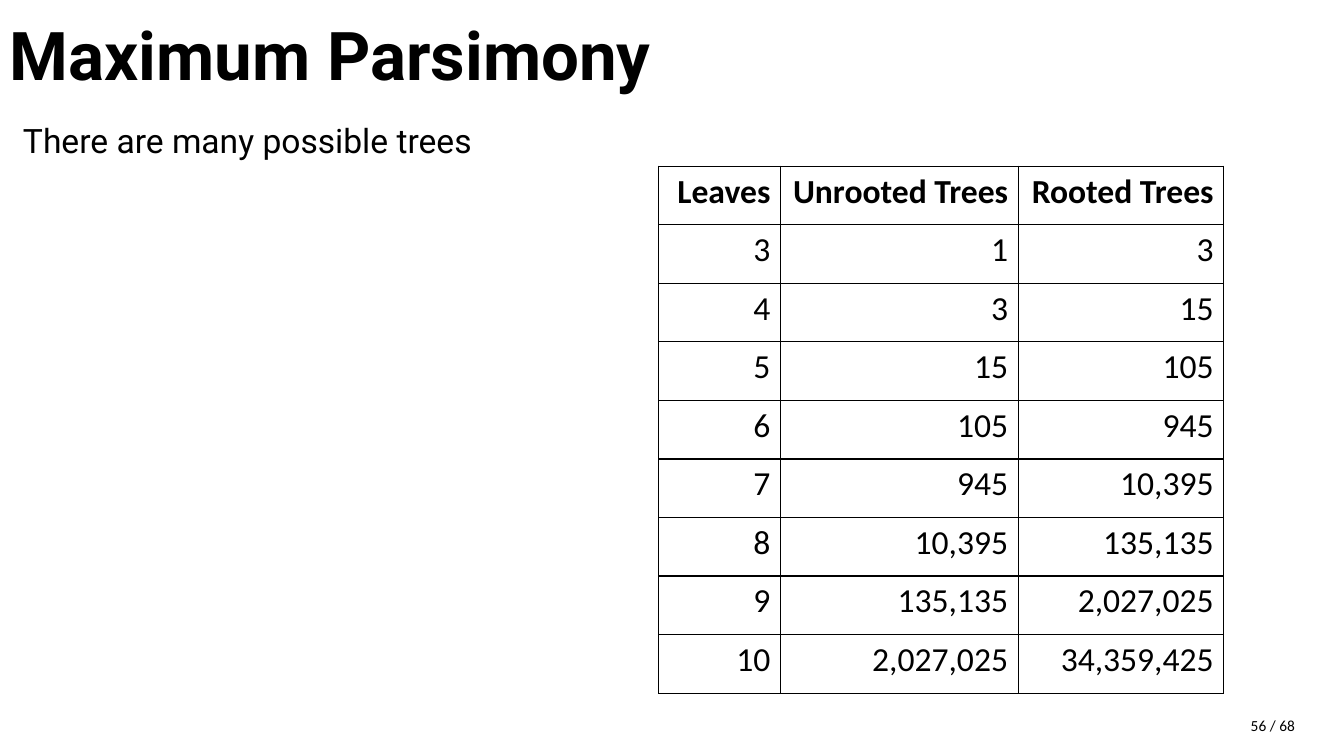
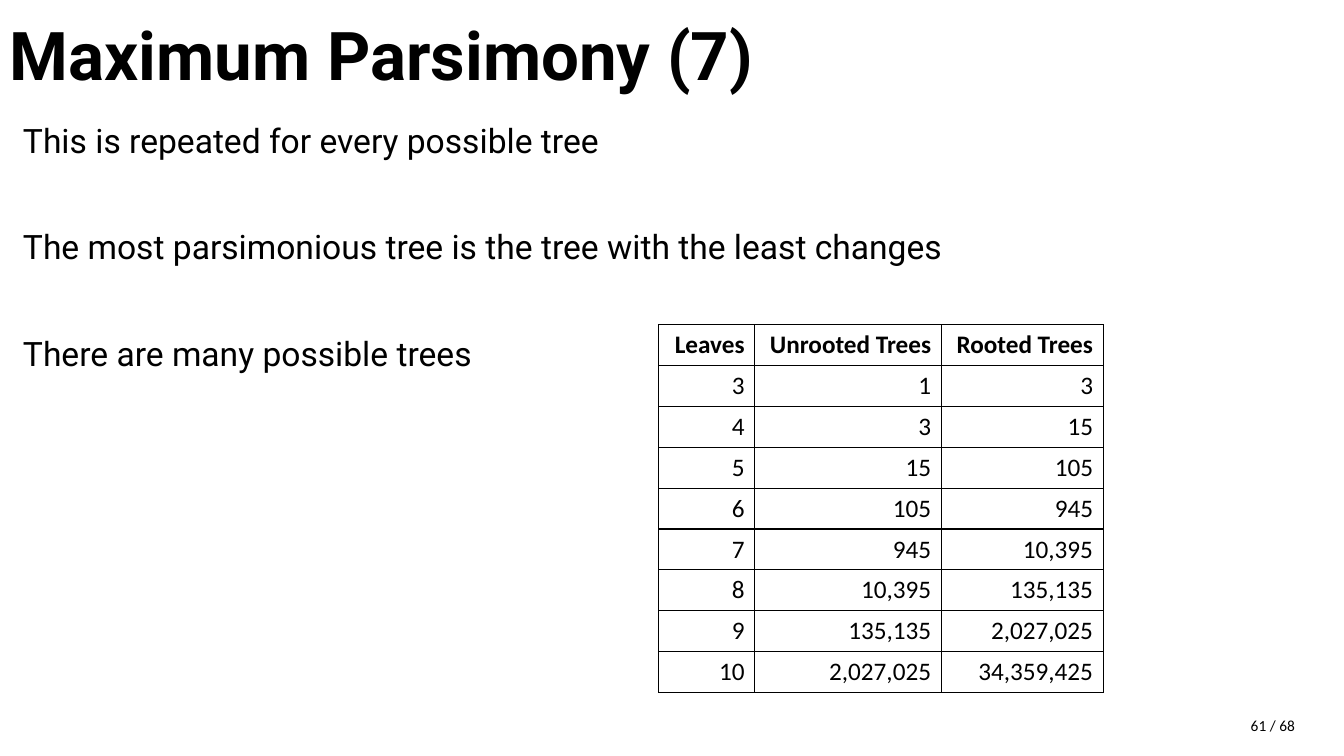
from pptx import Presentation
from pptx.dml.color import RGBColor
from pptx.enum.text import MSO_ANCHOR as Anchor, PP_ALIGN as Align
from pptx.oxml import parse_xml
from pptx.oxml.ns import nsdecls
from pptx.util import Cm, Pt

BLACK = RGBColor(0x00, 0x00, 0x00)
HEADING_FONT = "Roboto"
TABLE_FONT = "Calibri"
BORDER_WIDTH = Pt(0.96)
SLIDE_COUNT = 68

TITLE_BOX = (0, 0, 29.21, 2.72)
BODY_BOX = (0.33, 3, 26.11, 10.06)
NUMBER_BOX = (31.27, 17.91, 2.39, 1.17)

HEADERS = ("Leaves", "Unrooted Trees", "Rooted Trees")
FIRST_LEAVES = 3
TREE_COUNTS = (1, 3, 15, 105, 945, 10395, 135135, 2027025, 34359425)
TREE_ROWS = [
    (f"{leaves}", f"{unrooted:,}", f"{rooted:,}")
    for leaves, (unrooted, rooted) in enumerate(
        zip(TREE_COUNTS, TREE_COUNTS[1:]), FIRST_LEAVES)
]


def add_run(paragraph, text, font_name, size, bold=False):
    """Add one black run to a paragraph."""
    run = paragraph.add_run()
    run.text = text
    run.font.name = font_name
    run.font.size = Pt(size)
    run.font.bold = bold
    run.font.color.rgb = BLACK


def add_text_frame(slide, box, anchor=Anchor.TOP):
    """Add a wrapping text box, given in centimetres, and return its frame."""
    frame = slide.shapes.add_textbox(*map(Cm, box)).text_frame
    frame.word_wrap = True
    frame.vertical_anchor = anchor
    return frame


def add_title(slide, box, text):
    """Add the large bold slide title."""
    frame = add_text_frame(slide, box, Anchor.MIDDLE)
    add_run(frame.paragraphs[0], text, HEADING_FONT, 48, bold=True)


def add_body(slide, box, statements):
    """Add widely spaced statements below the title."""
    frame = add_text_frame(slide, box)
    for index, statement in enumerate(statements):
        paragraph = frame.add_paragraph() if index else frame.paragraphs[0]
        paragraph.line_spacing = 0.9
        paragraph.space_before = Pt(50.4 if index else 0)
        add_run(paragraph, statement, HEADING_FONT, 24)


def add_slide_number(slide, box, number):
    """Add the slide number and the slide count."""
    frame = add_text_frame(slide, box)
    add_run(frame.paragraphs[0], f"{number} / {SLIDE_COUNT}", TABLE_FONT, 11)


def style_cell(cell):
    """Give a cell thin black borders and no fill."""
    properties = cell._tc.get_or_add_tcPr()
    for side in ("lnL", "lnR", "lnT", "lnB"):
        properties.append(parse_xml(
            f'<a:{side} {nsdecls("a")} w="{BORDER_WIDTH}"><a:solidFill>'
            f'<a:srgbClr val="{BLACK}"/></a:solidFill></a:{side}>'))
    cell.fill.background()


def add_tree_table(slide, left, top, column_widths, height, size):
    """Add the table of tree counts, with lengths in centimetres."""
    rows = [HEADERS, *TREE_ROWS]
    table = slide.shapes.add_table(
        len(rows), len(HEADERS), Cm(left), Cm(top),
        Cm(sum(column_widths)), Cm(height)).table
    table.first_row = False
    table.horz_banding = False
    for column, width in zip(table.columns, column_widths):
        column.width = Cm(width)
    for row_index, values in enumerate(rows):
        for column_index, value in enumerate(values):
            cell = table.cell(row_index, column_index)
            style_cell(cell)
            paragraph = cell.text_frame.paragraphs[0]
            paragraph.alignment = Align.RIGHT
            add_run(paragraph, value, TABLE_FONT, size, bold=row_index == 0)


def add_tree_slide(presentation, number, title, statements, table_layout):
    """Add a slide with a title, statements and the table of tree counts."""
    slide = presentation.slides.add_slide(presentation.slide_layouts[6])
    add_slide_number(slide, NUMBER_BOX, number)
    add_body(slide, BODY_BOX, statements)
    add_title(slide, TITLE_BOX, title)
    add_tree_table(slide, *table_layout)


def main():
    """Build and save the presentation."""
    presentation = Presentation()
    presentation.slide_width = Cm(33.87)
    presentation.slide_height = Cm(19.05)
    many_trees = "There are many possible trees"
    add_tree_slide(
        presentation, 56, "Maximum Parsimony", [many_trees],
        (16.6, 4.19, (3.07, 5.99, 5.18), 13.28, 24))
    add_tree_slide(
        presentation, 61, "Maximum Parsimony (7)",
        ["This is repeated for every possible tree",
         "The most parsimonious tree is the tree with the least changes",
         many_trees],
        (16.6, 8.18, (2.42, 4.7, 4.08), 9.27, 18))
    presentation.save("out.pptx")


if __name__ == "__main__":
    main()
